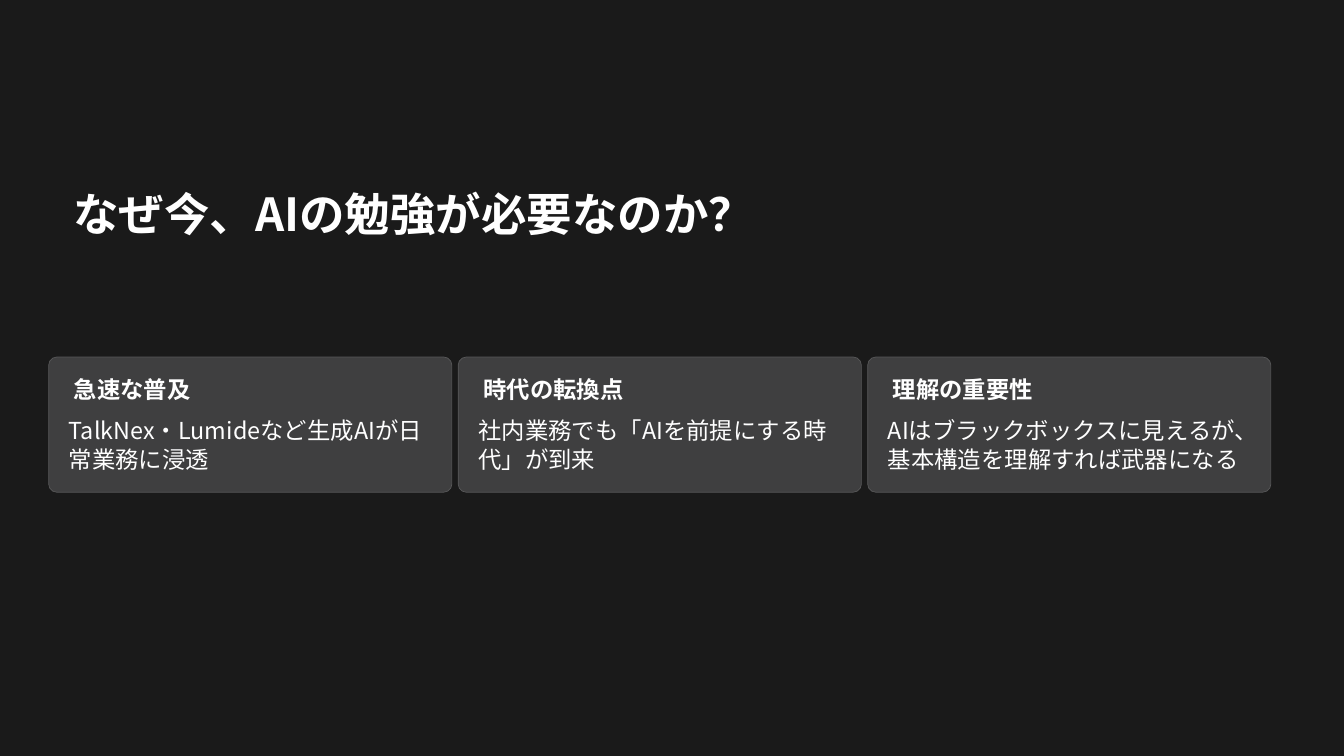
import pptx
import pptx.dml.color
import pptx.enum.shapes
import pptx.enum.text
import pptx.oxml
import pptx.oxml.ns
import pptx.util
from pptx.util import Inches

FONT = "Noto Sans CJK JP"
WHITE = "FFFFFF"
CARD_LEFT, CARD_PITCH = 0.58, 4.875
CARDS = [
    ("急速な普及", "TalkNex・Lumideなど生成AIが日常業務に浸透", 4.33),
    ("時代の転換点", "社内業務でも「AIを前提にする時代」が到来", 4.33),
    ("理解の重要性", "AIはブラックボックスに見えるが、基本構造を理解すれば武器になる", 4.57),
]


def color(value):
    return pptx.dml.color.RGBColor.from_string(value)


def write(shape, text, size, spacing, bold=False, wrap=False):
    frame = shape.text_frame
    frame.auto_size = pptx.enum.text.MSO_AUTO_SIZE.NONE
    frame.vertical_anchor = pptx.enum.text.MSO_ANCHOR.TOP
    frame.word_wrap = wrap
    frame.margin_left = frame.margin_right = frame.margin_top = frame.margin_bottom = 0
    paragraph = frame.paragraphs[0]
    paragraph.alignment = pptx.enum.text.PP_ALIGN.LEFT
    paragraph.line_spacing = pptx.util.Pt(spacing)
    run = paragraph.add_run()
    run.text = text
    run.font.size = pptx.util.Pt(size)
    run.font.bold = bold
    run.font.name = FONT
    run.font.color.rgb = color(WHITE)
    east_asian = pptx.oxml.parse_xml(
        f'<a:ea {pptx.oxml.ns.nsdecls("a")} typeface="{FONT}"/>')
    run.font._element.find(pptx.oxml.ns.qn("a:latin")).addnext(east_asian)


class DarkSlide:
    def __init__(self, presentation):
        self.slide = presentation.slides.add_slide(presentation.slide_layouts[5])
        self.slide.background.fill.solid()
        self.slide.background.fill.fore_color.rgb = color("1A1A1A")

    def title(self, text, left, top, width, height):
        shape = self.slide.shapes.title
        shape.left, shape.top = Inches(left), Inches(top)
        shape.width, shape.height = Inches(width), Inches(height)
        write(shape, text, size=39, spacing=48.5, bold=True)

    def text(self, text, left, top, width, height, **style):
        shape = self.slide.shapes.add_textbox(
            Inches(left), Inches(top), Inches(width), Inches(height))
        write(shape, text, **style)

    def panel(self, left, top, width, height):
        shape = self.slide.shapes.add_shape(
            pptx.enum.shapes.MSO_SHAPE.ROUNDED_RECTANGLE,
            Inches(left), Inches(top), Inches(width), Inches(height))
        shape.adjustments[0] = 0.06
        shape.shadow.inherit = False
        shape.fill.solid()
        shape.fill.fore_color.rgb = color("3F3F40")
        shape.line.color.rgb = color("585859")
        shape.line.width = pptx.util.Pt(0.6)

    def card(self, left, heading, body, body_width):
        self.panel(left, 4.25, 4.8, 1.61)
        self.text(heading, left + 0.3, 4.47, 2.83, 0.34, size=20, spacing=24, bold=True)
        self.text(body, left + 0.24, 4.94, body_width, 0.69, size=20, spacing=25, wrap=True)


def main():
    presentation = pptx.Presentation()
    presentation.slide_width, presentation.slide_height = Inches(16), Inches(9)
    slide = DarkSlide(presentation)
    slide.title("なぜ今、AIの勉強が必要なのか？", 0.87, 2.19, 8.12, 0.68)
    for index, (heading, body, body_width) in enumerate(CARDS):
        slide.card(CARD_LEFT + index * CARD_PITCH, heading, body, body_width)
    presentation.save("out.pptx")


if __name__ == "__main__":
    main()
